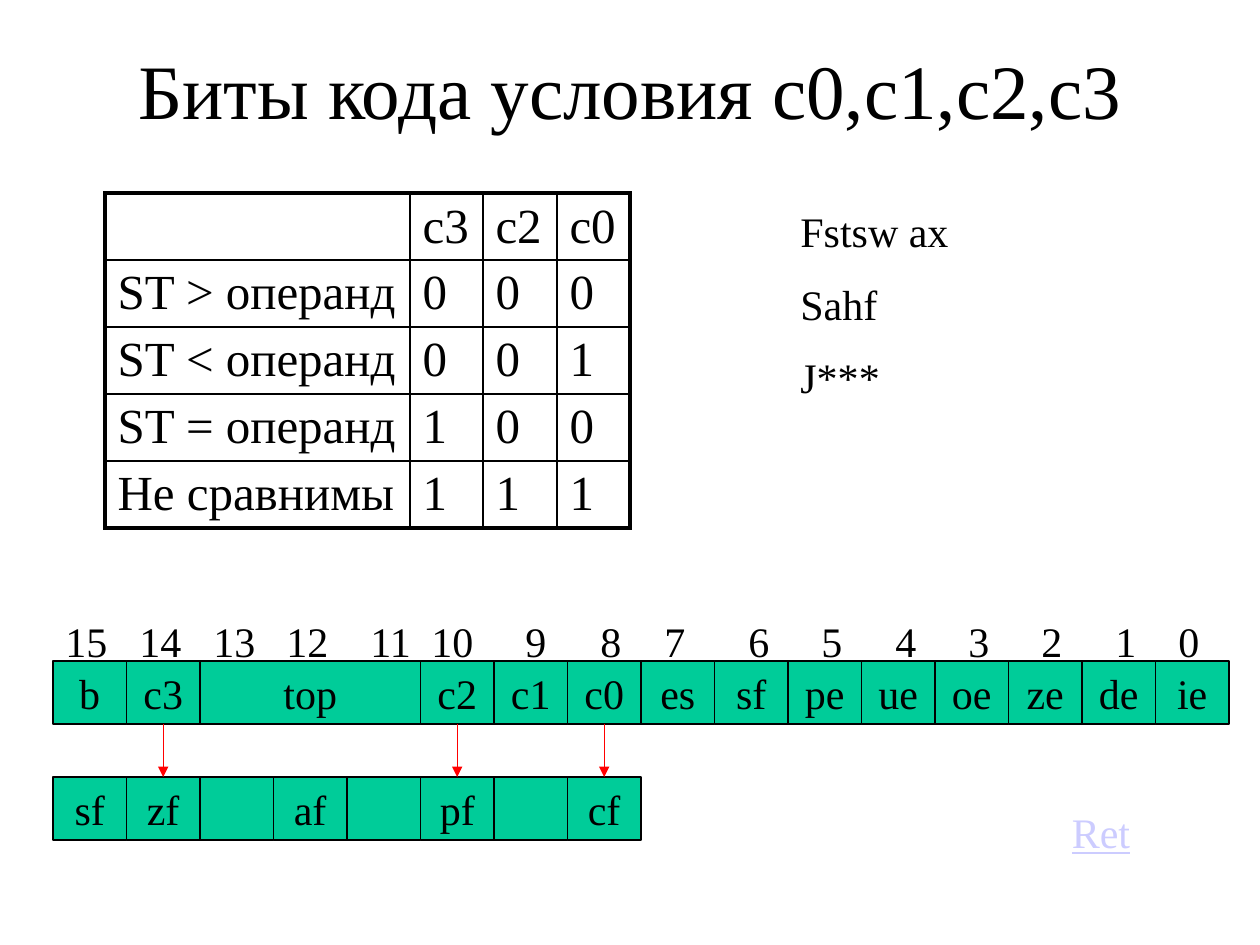
import pptx
import pptx.util
import pptx.dml.color
import pptx.enum.shapes
import pptx.enum.text
import pptx.oxml.ns
import lxml.etree

COLORS = {"ink": "000000", "cell": "00CC99", "arrow": "FF0000", "link": "CCCCFF"}
FONT = "Times New Roman"
TITLE = "Биты кода условия с0,с1,с2,с3"
CONDITIONS = [
    ("", "c3", "c2", "c0"),
    ("ST > операнд", "0", "0", "0"),
    ("ST < операнд", "0", "0", "1"),
    ("ST = операнд", "1", "0", "0"),
    ("Не сравнимы", "1", "1", "1"),
]
COLUMN_WIDTHS = [305, 73, 74, 73]
ROW_HEIGHT = 67
STATUS_WORD = [("b", 1), ("c3", 1), ("top", 3), ("c2", 1), ("c1", 1), ("c0", 1), ("es", 1),
               ("sf", 1), ("pe", 1), ("ue", 1), ("oe", 1), ("ze", 1), ("de", 1), ("ie", 1)]
FLAGS = [(name, 1) for name in ("sf", "zf", "", "af", "", "pf", "", "cf")]
BIT_LEFTS = [65, 139, 213, 286, 370, 431, 525, 600, 664, 748, 821, 895, 968, 1041, 1115, 1178]
ARROW_BITS = [7, 5, 1]
CODE = ["Fstsw ax", "Sahf", "J***"]
STRIP_LEFT, STRIP_WIDTH, BITS, CELL_HEIGHT = 53, 1176, 16, 63
STATUS_TOP, FLAGS_TOP = 661, 777
BIT_WIDTH = STRIP_WIDTH / BITS
ALIGN = pptx.enum.text.PP_ALIGN
ANCHOR = pptx.enum.text.MSO_ANCHOR


def px(value):
    return pptx.util.Emu(round(value * 914400 / 126))


def color(name):
    return pptx.dml.color.RGBColor.from_string(COLORS[name])


def add_span(para, text, size=24, ink="ink"):
    span = para.add_run()
    span.text = text
    span.font.size = pptx.util.Pt(size)
    span.font.name = FONT
    span.font.color.rgb = color(ink)
    return span


def add_child(parent, tag, **attributes):
    return lxml.etree.SubElement(parent, pptx.oxml.ns.qn(tag), attributes)


def add_text(left, top, width, height, lines, align=ALIGN.LEFT, ink="ink"):
    box = page.shapes.add_textbox(px(left), px(top), px(width), px(height))
    frame = box.text_frame
    frame.word_wrap = True
    for index, line in enumerate(lines):
        para = frame.add_paragraph() if index else frame.paragraphs[0]
        para.alignment = align
        para.space_before = pptx.util.Pt(13)
        add_span(para, line, ink=ink)
    return frame.paragraphs[0]


def add_strip(cells, top):
    bit = 0
    for name, span_bits in cells:
        box = page.shapes.add_shape(
            pptx.enum.shapes.MSO_SHAPE.RECTANGLE, px(STRIP_LEFT + bit * BIT_WIDTH), px(top),
            px(span_bits * BIT_WIDTH), px(CELL_HEIGHT))
        box.shadow.inherit = False
        box.fill.solid()
        box.fill.fore_color.rgb = color("cell")
        box.line.color.rgb = color("ink")
        box.line.width = pptx.util.Pt(0.75)
        box.text_frame.word_wrap = False
        box.text_frame.vertical_anchor = ANCHOR.MIDDLE
        if name:
            para = box.text_frame.paragraphs[0]
            para.alignment = ALIGN.CENTER
            add_span(para, name)
        bit += span_bits


def set_borders(cell, outer):
    properties = cell._tc.get_or_add_tcPr()
    for index, side in enumerate(("a:lnL", "a:lnR", "a:lnT", "a:lnB")):
        width = pptx.util.Pt(2.25 if outer[index] else 1)
        border = lxml.etree.Element(pptx.oxml.ns.qn(side), {"w": str(width)})
        add_child(add_child(border, "a:solidFill"), "a:srgbClr", val=COLORS["ink"])
        properties.insert(index, border)


def add_conditions():
    rows, columns = len(CONDITIONS), len(COLUMN_WIDTHS)
    table = page.shapes.add_table(rows, columns, px(105), px(193), px(sum(COLUMN_WIDTHS)),
                                  px(rows * ROW_HEIGHT)).table
    table.first_row = table.horz_banding = False
    for column, width in zip(table.columns, COLUMN_WIDTHS):
        column.width = px(width)
    for r, values in enumerate(CONDITIONS):
        table.rows[r].height = px(ROW_HEIGHT)
        for c, value in enumerate(values):
            cell = table.cell(r, c)
            cell.fill.background()
            set_borders(cell, (c == 0, c == columns - 1, r == 0, r == rows - 1))
            if value:
                add_span(cell.text_frame.paragraphs[0], value, 28)


def add_arrow(bit):
    x = px(STRIP_LEFT + (bit + 0.5) * BIT_WIDTH)
    arrow = page.shapes.add_connector(pptx.enum.shapes.MSO_CONNECTOR.STRAIGHT, x,
                                      px(STATUS_TOP + CELL_HEIGHT), x, px(FLAGS_TOP))
    arrow.line.color.rgb = color("arrow")
    arrow.line.width = pptx.util.Pt(0.75)
    add_child(arrow.line._get_or_add_ln(), "a:tailEnd", type="triangle")
    add_child(arrow._element.spPr, "a:effectLst")


deck = pptx.Presentation()
deck.slide_width, deck.slide_height = px(1260), px(945)
page = deck.slides.add_slide(deck.slide_layouts[5])

title = page.shapes.title
title.left, title.top, title.width, title.height = px(94), px(42), px(1072), px(94)
title.text_frame.vertical_anchor = ANCHOR.MIDDLE
title.text_frame.paragraphs[0].alignment = ALIGN.CENTER
add_span(title.text_frame.paragraphs[0], TITLE, 44)

add_conditions()
add_strip(STATUS_WORD, STATUS_TOP)

numbers = "\t".join(str(BITS - 1 - index) for index in range(BITS))
number_line = add_text(STRIP_LEFT, 609, STRIP_WIDTH, 63, [numbers])
tab_list = add_child(number_line._p.get_or_add_pPr(), "a:tabLst")
for left in BIT_LEFTS[1:]:
    add_child(tab_list, "a:tab", pos=str(px(left - BIT_LEFTS[0])), algn="l")

add_strip(FLAGS, FLAGS_TOP)
add_text(788, 199, 357, 214, CODE)
for bit in ARROW_BITS:
    add_arrow(bit)
link = add_text(1007, 800, 188, 63, ["Ret"], ALIGN.CENTER, "link")
link.runs[0].font.underline = True

deck.save("out.pptx")
